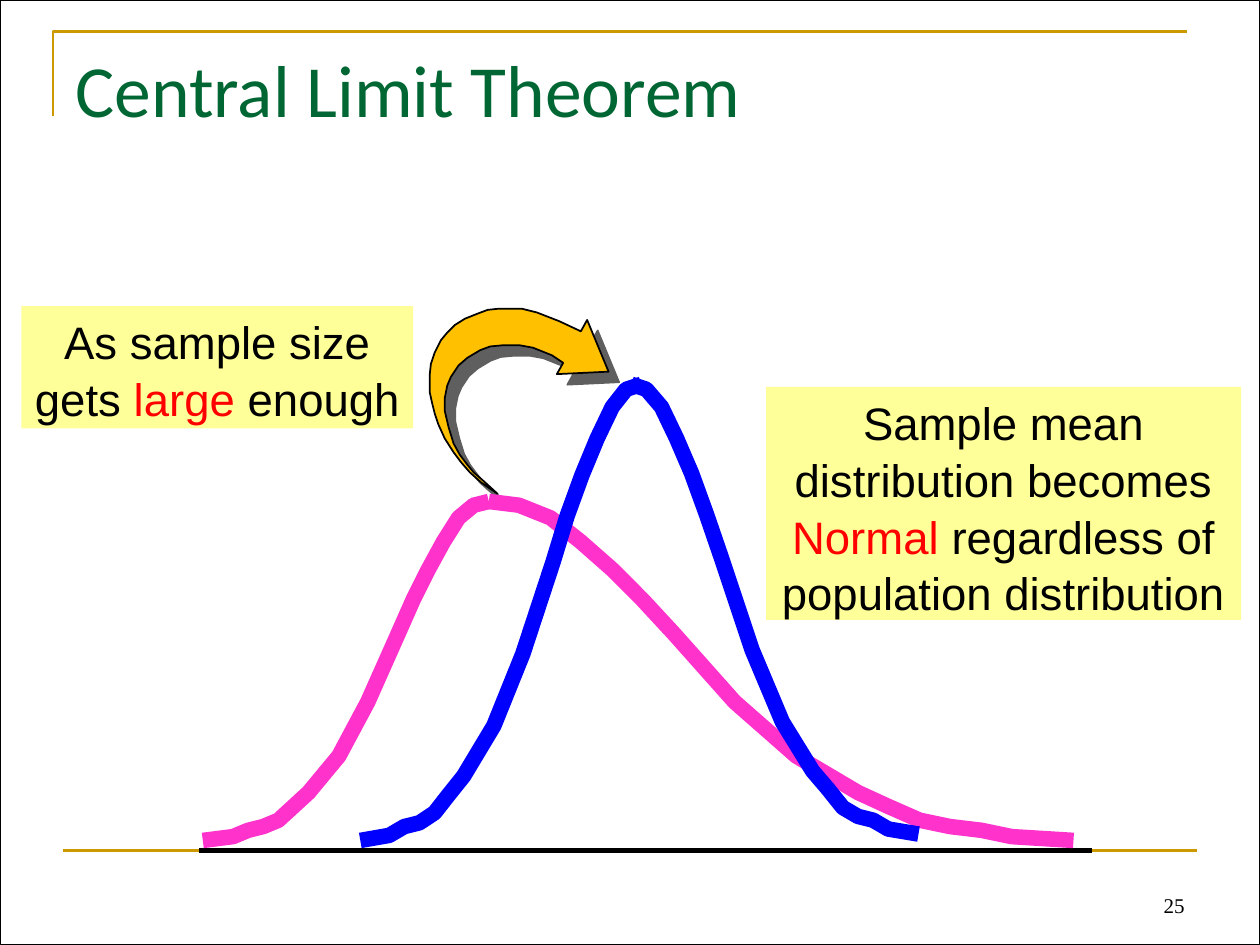
"""Build the Central Limit Theorem slide on a grid of 1000 columns by 750 rows."""
from dataclasses import dataclass
from typing import NamedTuple

from lxml import etree
from pptx import Presentation
from pptx.dml.color import RGBColor
from pptx.enum.shapes import MSO_CONNECTOR, MSO_SHAPE
from pptx.enum.text import MSO_ANCHOR, PP_ALIGN
from pptx.oxml.ns import qn
from pptx.util import Inches, Pt

LEFT, CENTER, RIGHT = PP_ALIGN.LEFT, PP_ALIGN.CENTER, PP_ALIGN.RIGHT
TOP, BOTTOM = MSO_ANCHOR.TOP, MSO_ANCHOR.BOTTOM
RECT, STRAIGHT = MSO_SHAPE.RECTANGLE, MSO_CONNECTOR.STRAIGHT

WIDTH, HEIGHT = Inches(10), Inches(7.5)
COLS, ROWS = 1000, 750
UNIT = WIDTH / COLS


@dataclass(frozen=True)
class Theme:
    """Colours, fonts and sizes of the slide."""
    title: str = "006633"
    rule: str = "CC9900"
    ink: str = "000000"
    accent: str = "FF0000"
    note: str = "FFFF99"
    arrow: str = "FFC000"
    shadow: str = "5F5F5F"
    skewed: str = "FF33CC"
    normal: str = "0000FF"
    title_font: str = "Calibri"
    body_font: str = "Arial"
    number_font: str = "Times New Roman"
    title_size: float = 42
    body_size: float = 26
    number_size: float = 12
    rule_width: float = 1.5
    axis_width: float = 3
    curve_width: float = 8.88


class Box(NamedTuple):
    """Place on the grid."""
    x: int
    y: int
    w: int
    h: int


class Note(NamedTuple):
    """Filled box whose runs pair a text with a colour."""
    box: Box
    inset: int
    runs: tuple


class Half(NamedTuple):
    """Half of a bell curve, from its tail to its peak."""
    tail: int
    peak: int
    base: int
    height: int


T = Theme()
NOTES = (
    Note(Box(17, 243, 311, 97), 6,
         (("As sample size gets ", T.ink), ("large", T.accent), (" enough", T.ink))),
    Note(Box(608, 307, 377, 185), 10,
         (("Sample mean distribution becomes ", T.ink), ("Normal", T.accent),
          (" regardless of population distribution", T.ink))),
)
CURVES = (
    (T.skewed, (Half(852, 388, 667, 269), Half(161, 388, 667, 269))),
    (T.normal, (Half(729, 501, 662, 357), Half(286, 509, 667, 362))),
)
STEPS = (0, 2, 3, 4, 5, 6, 7, 9, 11, 13, 14, 15, 16, 17, 18, 19)
RISE = (0, .01, .03, .04, .06, .1, .14, .25, .41, .61, .71, .8, .88, .95, .99, 1)
ARROW = (
    (395, 392), (382, 383), (373, 375), (366, 367), (360, 359), (353, 348),
    (348, 337), (345, 328), (343, 320), (341, 311), (341, 298), (342, 289),
    (345, 280), (350, 270), (355, 264), (361, 258), (369, 253), (379, 249),
    (387, 246), (396, 245), (414, 245), (426, 248), (444, 255), (461, 263),
    (466, 254), (483, 295), (442, 297), (447, 288), (438, 282), (423, 276),
    (412, 274), (400, 274), (389, 275), (381, 278), (371, 284), (364, 290),
    (358, 299), (355, 306), (353, 316), (353, 326), (356, 339), (360, 352),
    (365, 361), (371, 369), (376, 375), (384, 382), (395, 392),
)


def grid(n: float) -> int:
    """Turn grid units into a length."""
    return round(n * UNIT)


def place(sp, box: Box) -> None:
    """Put a shape at its box."""
    sp.left, sp.top, sp.width, sp.height = map(grid, box)


def write(tf, runs, *, font: str, size: float, align=LEFT, anchor=TOP,
          inset: int = 10, spacing: float = 1.0) -> None:
    """Write one paragraph of coloured runs."""
    tf.word_wrap, tf.vertical_anchor = True, anchor
    tf.margin_left = tf.margin_right = grid(inset)
    tf.margin_top = tf.margin_bottom = grid(5)
    p = tf.paragraphs[0]
    p.alignment, p.line_spacing = align, spacing
    for text, color in runs:
        r = p.add_run()
        r.text = text
        r.font.name, r.font.size = font, Pt(size)
        r.font.color.rgb = RGBColor.from_string(color)


def stroke(sp, color: str, width: float) -> None:
    """Set the outline of a shape."""
    sp.line.color.rgb = RGBColor.from_string(color)
    sp.line.width = Pt(width)


def paint(sp, fill: str | None = None) -> None:
    """Set the fill of a shape and drop its shadow."""
    sp.shadow.inherit = False
    if fill is None:
        sp.fill.background()
    else:
        sp.fill.solid()
        sp.fill.fore_color.rgb = RGBColor.from_string(fill)


def add_rect(shapes, box: Box, fill: str | None = None):
    """Add a rectangle."""
    sp = shapes.add_shape(RECT, *map(grid, box))
    paint(sp, fill)
    return sp


def add_path(shapes, pts, color: str, width: float, fill: str | None = None):
    """Add an outline through grid points, closed when it is filled."""
    fb = shapes.build_freeform(*pts[0], scale=UNIT)
    fb.add_line_segments(pts[1:], close=fill is not None)
    sp = fb.convert_to_shape()
    paint(sp, fill)
    stroke(sp, color, width)
    return sp


def add_rule(shapes, x1: int, x2: int, y: int, color: str, width: float) -> None:
    """Add a horizontal line."""
    sp = shapes.add_connector(STRAIGHT, grid(x1), grid(y), grid(x2), grid(y))
    stroke(sp, color, width)
    etree.SubElement(sp._element.spPr, qn("a:effectLst"))


def add_shadow(sp, color: str, distance: float, angle: int) -> None:
    """Give a shape a hard shadow."""
    effects = sp._element.spPr.find(qn("a:effectLst"))
    shadow = etree.SubElement(effects, qn("a:outerShdw"), blurRad="0",
                              dist=str(Pt(distance)), dir=str(angle * 60000),
                              algn="ctr", rotWithShape="0")
    etree.SubElement(shadow, qn("a:srgbClr"), val=color)


def half_points(half: Half) -> list:
    """Work out the points of a half curve."""
    run = (half.peak - half.tail) / STEPS[-1]
    return [(half.tail + s * run, half.base - r * half.height)
            for s, r in zip(STEPS, RISE)]


def main() -> None:
    """Build and save the slide."""
    prs = Presentation()
    prs.slide_width, prs.slide_height = WIDTH, HEIGHT
    slide = prs.slides.add_slide(prs.slide_layouts[5])
    shapes = slide.shapes

    place(shapes.title, Box(50, 30, 900, 125))
    write(shapes.title.text_frame, (("Central Limit Theorem", T.title),),
          font=T.title_font, size=T.title_size)
    add_path(shapes, ((42, 92), (42, 25), (942, 25)), T.rule, T.rule_width)
    add_rule(shapes, 50, 950, 675, T.rule, T.rule_width)
    stroke(add_rect(shapes, Box(0, 0, COLS, ROWS)), T.ink, 0.5)
    number = shapes.add_textbox(*map(grid, Box(717, 683, 233, 50)))
    write(number.text_frame, (("25", T.ink),), font=T.number_font,
          size=T.number_size, align=RIGHT, anchor=BOTTOM)

    arrow = add_path(shapes, ARROW, T.ink, 1, T.arrow)
    add_shadow(arrow, T.shadow, 8.5, 45)
    for note in NOTES:
        sp = add_rect(shapes, note.box, T.note)
        sp.line.fill.background()
        write(sp.text_frame, note.runs, font=T.body_font, size=T.body_size,
              align=CENTER, inset=note.inset, spacing=1.04)
    add_rule(shapes, 158, 867, 675, T.ink, T.axis_width)
    for color, halves in CURVES:
        shapes.add_group_shape([add_path(shapes, half_points(h), color, T.curve_width)
                                for h in halves])
    prs.save("out.pptx")


if __name__ == "__main__":
    main()
